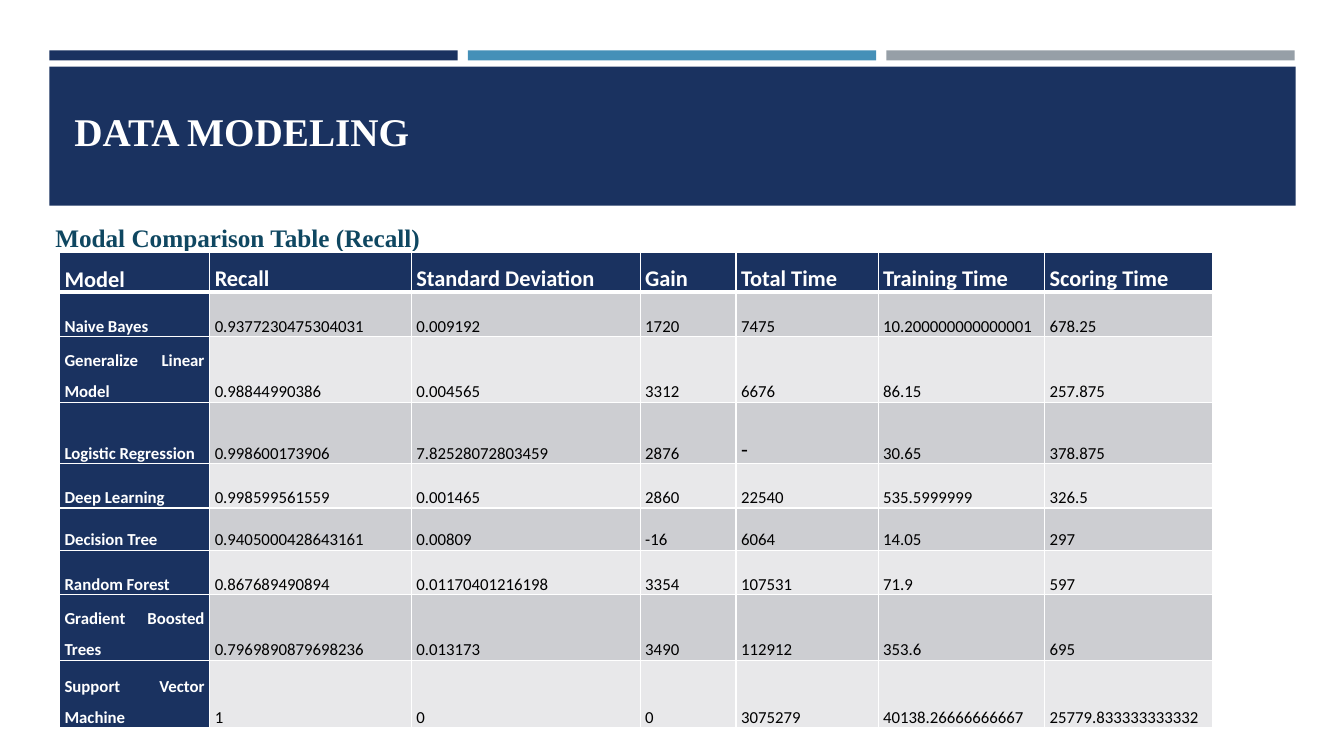
from lxml import etree
from pptx import Presentation
from pptx.dml.color import RGBColor
from pptx.enum import shapes, text
from pptx.oxml import ns
from pptx.util import Inches, Pt

NAVY, BLUE, GREY, WHITE, BLACK = "1A3260", "4590B8", "969FA7", "FFFFFF", "000000"
TEAL = "0F4761"
BANDS = ["CDCED2", "E8E8EA"]

TITLE = "DATA MODELING"
SUBTITLE = "Modal Comparison Table (Recall)"
HEADINGS = ["Model", "Recall", "Standard Deviation", "Gain", "Total Time",
            "Training Time ", "Scoring Time "]
MODELS = [
    ("Naive Bayes", "0.9377230475304031", "0.009192", "1720", "7475",
     "10.200000000000001", "678.25"),
    ("Generalize Linear Model", "0.98844990386", "0.004565", "3312", "6676",
     "86.15", "257.875"),
    ("Logistic Regression", "0.998600173906", "7.82528072803459", "2876", "-",
     "30.65", "378.875"),
    ("Deep Learning", "0.998599561559", "0.001465", "2860", "22540",
     "535.5999999", "326.5"),
    ("Decision Tree", "0.9405000428643161", "0.00809", "-16", "6064",
     "14.05", "297"),
    ("Random Forest", "0.867689490894", "0.01170401216198", "3354", "107531",
     "71.9", "597"),
    ("Gradient Boosted Trees", "0.7969890879698236", "0.013173", "3490", "112912",
     "353.6", "695"),
    ("Support Vector Machine", "1", "0", "0", "3075279",
     "40138.26666666667", "25779.833333333332"),
]
COLUMN_WIDTHS = [1.49, 2, 2.27, 0.95, 1.41, 1.65, 1.67]
ROW_HEIGHTS = [0.4, 0.44, 0.65, 0.61, 0.44, 0.42, 0.44, 0.65, 0.67]

presentation = Presentation()
presentation.slide_width, presentation.slide_height = Inches(13.33), Inches(7.5)
slide = presentation.slides.add_slide(presentation.slide_layouts[6])


def paint(fill, color):
    fill.solid()
    fill.fore_color.rgb = RGBColor.from_string(color)


def write(frame, words, size=12, font="Calibri", color=BLACK, bold=False,
          align=text.PP_ALIGN.LEFT, spacing=1.0, after=0):
    paragraph = frame.paragraphs[0]
    paragraph.alignment = align
    paragraph.line_spacing = spacing
    paragraph.space_after = Pt(after)
    run = paragraph.add_run()
    run.text = words
    run.font.size, run.font.name, run.font.bold = Pt(size), font, bold
    run.font.color.rgb = RGBColor.from_string(color)


def add_bar(left, top, width, height, color):
    bar = slide.shapes.add_shape(shapes.MSO_SHAPE.RECTANGLE, Inches(left), Inches(top),
                                 Inches(width), Inches(height))
    bar.shadow.inherit = False
    paint(bar.fill, color)
    bar.line.fill.background()


def add_heading(words, left, top, width, height, **style):
    frame = slide.shapes.add_textbox(Inches(left), Inches(top), Inches(width),
                                     Inches(height)).text_frame
    frame.word_wrap = True
    frame.vertical_anchor = text.MSO_ANCHOR.MIDDLE
    write(frame, words, font="Times New Roman", bold=True, **style)


def add_borders(cell, bottom):
    properties = cell._tc.get_or_add_tcPr()
    for side, points in (("L", 1), ("R", 1), ("T", 1), ("B", bottom)):
        line = etree.SubElement(properties, ns.qn(f"a:ln{side}"), w=str(Pt(points)))
        solid = etree.SubElement(line, ns.qn("a:solidFill"))
        etree.SubElement(solid, ns.qn("a:srgbClr"), val=WHITE)


# Header bars and title
for i, color in enumerate([NAVY, BLUE, GREY]):
    add_bar(0.49 + i * 4.15, 0.5, 4.05, 0.1, color)
add_bar(0.49, 0.66, 12.36, 1.38, NAVY)
add_heading(TITLE, 0.64, 1, 12.06, 0.6, size=28, color=WHITE)
add_heading(SUBTITLE, 0.45, 2.16, 4.51, 0.4, size=18, color=TEAL)

# Comparison table
rows = [HEADINGS, *MODELS]
comparison = slide.shapes.add_table(
    len(rows), len(HEADINGS), Inches(0.59), Inches(2.5),
    Inches(sum(COLUMN_WIDTHS)), Inches(sum(ROW_HEIGHTS))).table
for column, width in zip(comparison.columns, COLUMN_WIDTHS):
    column.width = Inches(width)
for row, height in zip(comparison.rows, ROW_HEIGHTS):
    row.height = Inches(height)

for r, values in enumerate(rows):
    for c, value in enumerate(values):
        cell = comparison.cell(r, c)
        is_label = r == 0 or c == 0
        is_corner = r == 0 and c == 0
        cell.margin_left = cell.margin_right = Inches(0.05)
        cell.margin_top = cell.margin_bottom = 0
        cell.vertical_anchor = text.MSO_ANCHOR.TOP if is_corner else text.MSO_ANCHOR.BOTTOM
        add_borders(cell, bottom=3 if r == 0 else 1)
        paint(cell.fill, NAVY if is_label else BANDS[(r - 1) % 2])
        write(cell.text_frame, value, size=16 if r == 0 or value == "-" else 12,
              color=WHITE if is_label else BLACK, bold=is_label,
              align=text.PP_ALIGN.JUSTIFY,
              spacing=1.07 if r == 0 and c > 0 else 1.5, after=8)

presentation.save("out.pptx")
